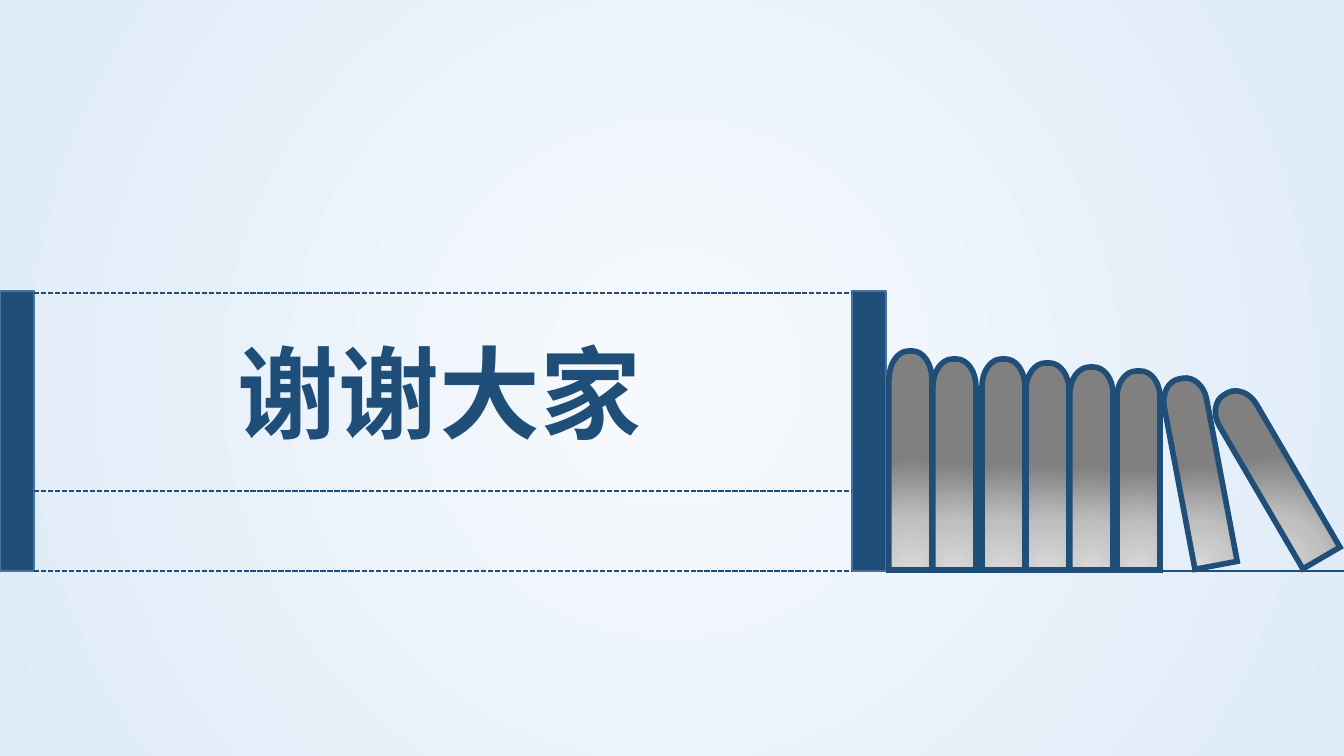
from lxml import etree
from pptx import Presentation
from pptx import util as u
from pptx.dml.color import RGBColor
from pptx.enum import dml, shapes, text
from pptx.oxml import parse_xml
from pptx.oxml.ns import nsdecls, qn

# Content, lengths in px
SCALE = 914400 / 100.8
WIDTH, HEIGHT = 1344, 756
NAVY, BAR_EDGE = "1F4E79", "43739E"
FONT = "Noto Sans CJK SC"
TITLE = "谢谢大家"

BACKGROUND_STOPS = [(0, "F7FAFD"), (100, "DEEBF7")]
BOOK_STOPS = [(0, "D9D9D9"), (46, "BFBFBF"), (100, "808080")]
BAR_LEFTS = [0, 852]
BAR_TOP, BAR_WIDTH, BAR_HEIGHT = 291, 34, 280
SHELF_Y = 571
RULES = [SHELF_Y, 293, 491]

BOOK_WIDTH, BOOK_FLAT = 43, 4
ARC = 0.55  # pull of a curve's control points toward its corner
BOOKS = [  # left, top, height, rotation
    (889, 351, 219, 0),
    (933, 359, 211, 0),
    (982, 359, 211, 0),
    (1026, 363, 207, 0),
    (1070, 367, 203, 0),
    (1117, 371, 199, 0),
    (1177, 377, 190, 349.3),
    (1252, 381, 190, 329.7),
]


def px(value):
    return u.Emu(round(value * SCALE))


def color(value):
    return RGBColor.from_string(value)


def set_gradient(fill, parent, stops, focus_y):
    """Radial gradient centred at focus_y percent of the height."""
    fill.solid()
    marks = "".join(
        f'<a:gs pos="{pos * 1000}"><a:srgbClr val="{value}"/></a:gs>' for pos, value in stops)
    gradient = parse_xml(
        f'<a:gradFill {nsdecls("a")} rotWithShape="1"><a:gsLst>{marks}</a:gsLst>'
        f'<a:path path="circle"><a:fillToRect l="50000" t="{focus_y * 1000}" r="50000" '
        f'b="{(100 - focus_y) * 1000}"/></a:path></a:gradFill>')
    parent.replace(parent.find(qn("a:solidFill")), gradient)


def set_line(shape, value, width):
    shape.line.color.rgb = color(value)
    shape.line.width = u.Pt(width)


def add_rule(left, right, y, dashed):
    rule = slide.shapes.add_connector(
        shapes.MSO_CONNECTOR.STRAIGHT, px(left), px(y), px(right), px(y))
    set_line(rule, NAVY, 1.25)
    if dashed:
        rule.line.dash_style = dml.MSO_LINE.SQUARE_DOT
    etree.SubElement(rule._element.spPr, qn("a:effectLst"))


def round_corner(segment, start, corner):
    """Turn a straight segment into a quarter arc bulging toward the corner."""
    end_point = segment[0]
    end = (int(end_point.get("x")), int(end_point.get("y")))
    curve = etree.Element(qn("a:cubicBezTo"))
    for anchor in (start, end):
        control = etree.SubElement(curve, qn("a:pt"))
        for name, origin, target in zip("xy", anchor, corner):
            control.set(name, str(round(origin + ARC * (target - origin))))
    curve.append(end_point)
    segment.getparent().replace(segment, curve)


def add_book(left, top, height, rotation):
    """Book spine: a straight body under a rounded top."""
    radius_x = px((BOOK_WIDTH - BOOK_FLAT) / 2)
    shoulder = px(height * 0.13)
    width, bottom = px(BOOK_WIDTH), px(height)
    outline = [(radius_x, 0), (width - radius_x, 0), (width, shoulder),
               (width, bottom), (0, bottom), (0, shoulder), (radius_x, 0)]
    builder = slide.shapes.build_freeform(*outline[0])
    builder.add_line_segments(outline[1:], close=True)
    book = builder.convert_to_shape(px(left), px(top))
    segments = list(book._element.iter(qn("a:lnTo")))
    round_corner(segments[1], outline[1], (width, 0))
    round_corner(segments[-1], outline[-2], (0, 0))
    book.shadow.inherit = False
    book.rotation = rotation
    set_gradient(book.fill, book._element.spPr, BOOK_STOPS, 130)
    set_line(book, NAVY, 4)
    etree.SubElement(book._element.spPr.find(qn("a:ln")), qn("a:miter")).set("lim", "800000")


presentation = Presentation()
presentation.slide_width, presentation.slide_height = px(WIDTH), px(HEIGHT)
slide = presentation.slides.add_slide(presentation.slide_layouts[6])

# Background
background_fill = slide.background.fill
background_fill.solid()
set_gradient(background_fill, slide._element.find(".//" + qn("p:bgPr")), BACKGROUND_STOPS, 50)

# Bars
for bar_left in BAR_LEFTS:
    bar = slide.shapes.add_shape(
        shapes.MSO_SHAPE.RECTANGLE, px(bar_left), px(BAR_TOP), px(BAR_WIDTH), px(BAR_HEIGHT))
    bar.shadow.inherit = False
    bar.fill.solid()
    bar.fill.fore_color.rgb = color(NAVY)
    set_line(bar, BAR_EDGE, 1)

# Books on the shelf
add_rule(BAR_LEFTS[1] + BAR_WIDTH, WIDTH, SHELF_Y, dashed=False)
for book_values in BOOKS:
    add_book(*book_values)

# Dashed rules between the bars
for rule_y in RULES:
    add_rule(BAR_WIDTH, BAR_LEFTS[1], rule_y, dashed=True)

# Title
title = slide.shapes.add_textbox(px(228), px(326), px(423), px(132))
frame = title.text_frame
frame.word_wrap = True
frame.margin_right = 0
frame.auto_size = text.MSO_AUTO_SIZE.SHAPE_TO_FIT_TEXT
paragraph = frame.paragraphs[0]
paragraph.text = TITLE
paragraph.font.size = u.Pt(72)
paragraph.font.bold = True
paragraph.font.color.rgb = color(NAVY)
paragraph.font.name = FONT
properties = paragraph._p.pPr.find(qn("a:defRPr"))
etree.SubElement(properties, qn("a:ea")).set("typeface", FONT)

presentation.save("out.pptx")
